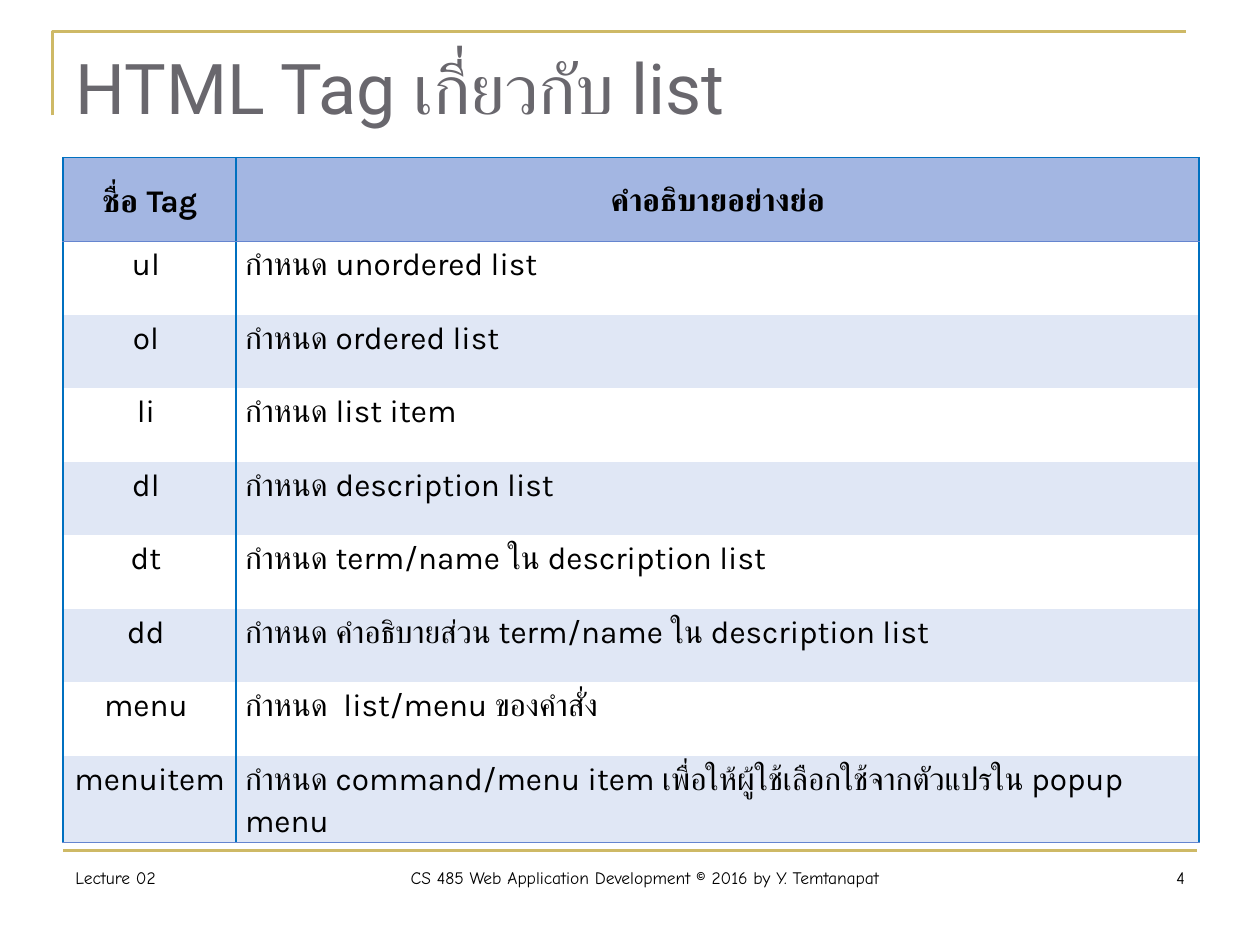
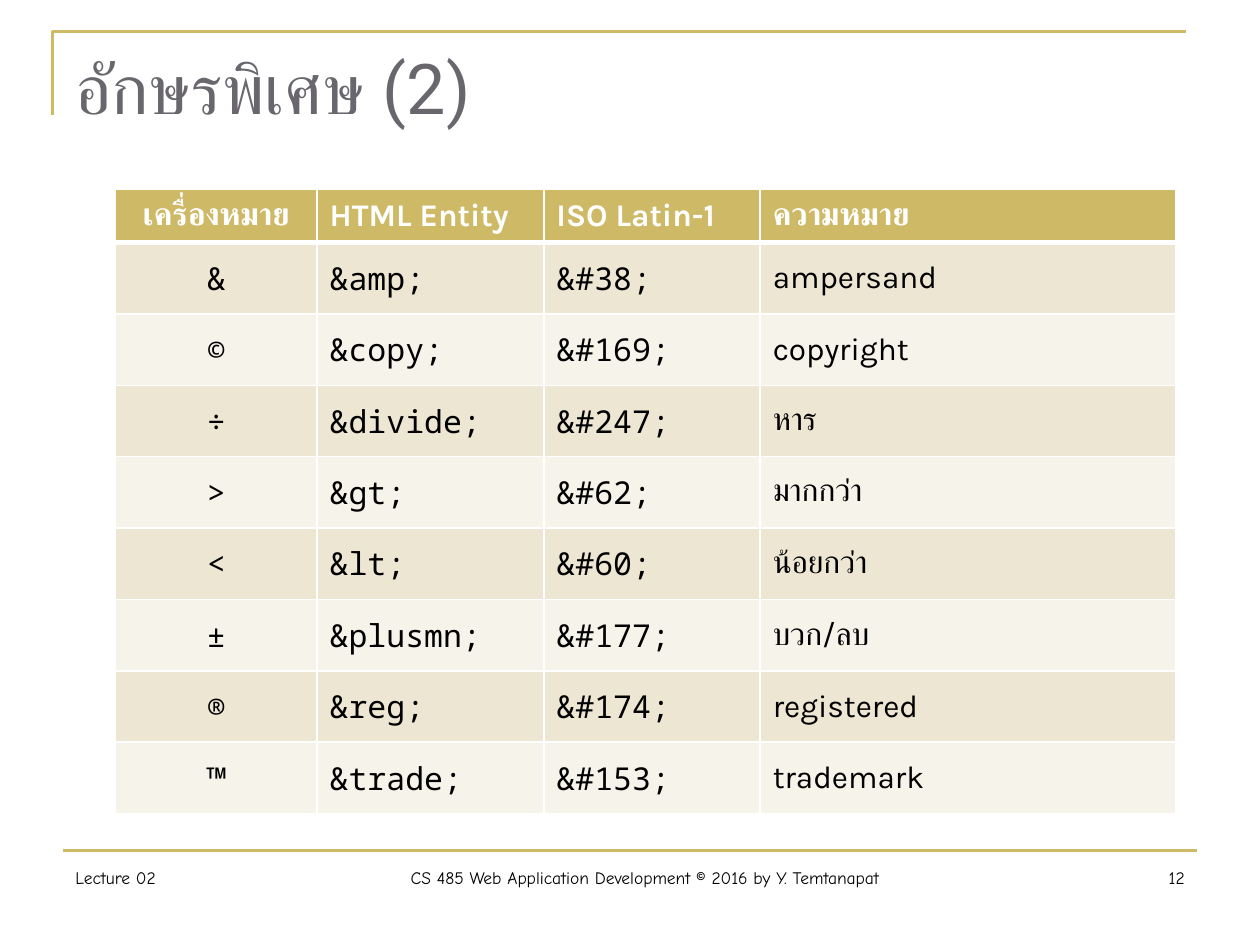
from dataclasses import dataclass

from lxml.etree import SubElement
from pptx import Presentation
from pptx.dml.color import RGBColor
from pptx.enum.shapes import MSO_CONNECTOR
from pptx.enum.text import MSO_ANCHOR, MSO_AUTO_SIZE, PP_ALIGN
from pptx.oxml.ns import qn
from pptx.util import Inches, Pt

# The slide is a grid of 120 columns by 90 rows
SLIDE_WIDTH, SLIDE_HEIGHT = Inches(10), Inches(7.5)
COLUMN, ROW = SLIDE_WIDTH / 120, SLIDE_HEIGHT / 90


@dataclass(frozen=True)
class Theme:
    gold: str = "CEB966"
    grey: str = "69676D"
    black: str = "000000"
    white: str = "FFFFFF"
    blue_edge: str = "0070C0"
    blue_rule: str = "6585CF"
    blue_header: str = "A3B6E2"
    blue_bands: tuple = ("FFFFFF", "E0E7F5")
    gold_bands: tuple = ("EDE6D3", "F6F3EA")
    title_font: str = "Roboto"
    body_font: str = "Karla"
    code_font: str = "Noto Sans Mono"
    footer_font: str = "Comic Neue"
    title_size: int = 40
    body_size: int = 18
    footer_size: int = 10
    rule_width: float = 1.5


@dataclass(frozen=True)
class Box:
    """A region in grid columns and rows."""
    left: float
    top: float
    width: float
    height: float

    def emu(self):
        return (cols(self.left), rows(self.top),
                cols(self.width), rows(self.height))


THEME = Theme()
FRAME = Box(5, 3, 108, 8)
TITLE = Box(6, 3.6, 108, 15)
FOOTER = Box(6, 82, 108, 6)
FOOTER_RULE_GAP = 1
TAG_TABLE = Box(6, 15, 108.2, 64)
ENTITY_TABLE = Box(11, 18, 101, 59.5)

TAGS = [
    ("ชื่อ Tag", "คำอธิบายอย่างย่อ"),
    ("ul ", "กำหนด unordered list"),
    ("ol ", "กำหนด ordered list"),
    ("li ", "กำหนด list item"),
    ("dl ", "กำหนด description list"),
    ("dt ", "กำหนด term/name ใน description list"),
    ("dd ", "กำหนด คำอธิบายส่วน term/name ใน description list"),
    ("menu ", "กำหนด  list/menu ของคำสั่ง"),
    ("menuitem ", "กำหนด command/menu item เพื่อให้ผู้ใช้เลือกใช้จากตัวแปรใน popup menu"),
]
ENTITIES = [
    ("เครื่องหมาย", "HTML Entity", "ISO Latin-1", "ความหมาย"),
    ("&", "&amp;", "&#38;", "ampersand"),
    ("©", "&copy;", "&#169;", "copyright"),
    ("÷", "&divide;", "&#247;", "หาร"),
    (">", "&gt;", "&#62;", "มากกว่า"),
    ("<", "&lt;", "&#60;", "น้อยกว่า"),
    ("±", "&plusmn;", "&#177;", "บวก/ลบ"),
    ("®", "&reg;", "&#174;", "registered"),
    ("™", "&trade;", "&#153;", "trademark"),
]


def cols(count):
    return round(count * COLUMN)


def rows(count):
    return round(count * ROW)


def color(value):
    return RGBColor.from_string(value)


def format_text(frame, font, size, ink, align=PP_ALIGN.LEFT, bold=False):
    for paragraph in frame.paragraphs:
        paragraph.alignment = align
        for run in paragraph.runs:
            run.font.name = font
            run.font.size = Pt(size)
            run.font.bold = bold
            run.font.color.rgb = color(ink)


def style_rule(shape):
    shape.line.color.rgb = color(THEME.gold)
    shape.line.width = Pt(THEME.rule_width)


# Parts shared by every slide
def add_frame(slide, box):
    left, top, width, height = box.emu()
    builder = slide.shapes.build_freeform(left, top + height)
    builder.add_line_segments([(left, top), (left + width, top)], close=False)
    corner = builder.convert_to_shape()
    corner.fill.background()
    corner.shadow.inherit = False
    style_rule(corner)


def add_title(slide, box, text):
    title = slide.shapes.title
    title.left, title.top, title.width, title.height = box.emu()
    frame = title.text_frame
    frame.text = text
    frame.auto_size = MSO_AUTO_SIZE.NONE
    frame.vertical_anchor = MSO_ANCHOR.TOP
    format_text(frame, THEME.title_font, THEME.title_size, THEME.grey)


def add_footer(slide, box, page):
    rule_y = rows(box.top - FOOTER_RULE_GAP)
    rule = slide.shapes.add_connector(
        MSO_CONNECTOR.STRAIGHT, cols(box.left), rule_y,
        cols(box.left + box.width), rule_y)
    style_rule(rule)
    SubElement(rule._element.spPr, qn("a:effectLst"))

    left = box.left
    for text, width, align in (
            ("Lecture 02", 19.3, PP_ALIGN.LEFT),
            ("CS 485 Web Application Development © 2016 by Y. Temtanapat",
             72.2, PP_ALIGN.CENTER),
            (str(page), 16.5, PP_ALIGN.RIGHT)):
        part = Box(left, box.top, width, box.height)
        frame = slide.shapes.add_textbox(*part.emu()).text_frame
        frame.word_wrap = True
        frame.text = text
        format_text(frame, THEME.footer_font, THEME.footer_size,
                    THEME.black, align)
        left += width


def add_base_slide(deck, title, page):
    slide = deck.slides.add_slide(deck.slide_layouts[5])
    add_frame(slide, FRAME)
    add_title(slide, TITLE, title)
    add_footer(slide, FOOTER, page)
    return slide


# Table helpers
def add_grid(slide, box, records, widths, header_height, row_height):
    table = slide.shapes.add_table(
        len(records), len(widths), *box.emu()).table
    for column, width in zip(table.columns, widths):
        column.width = cols(width)
    for index, row in enumerate(table.rows):
        row.height = rows(row_height if index else header_height)
    for r, record in enumerate(records):
        for c, text in enumerate(record):
            table.cell(r, c).text_frame.text = text
    return table


def style_cell(cell, fill, borders):
    """borders maps L, R, T, B to (colour, points); others are hidden."""
    properties = cell._tc.get_or_add_tcPr()
    for side in "LRTB":
        line = SubElement(properties, qn(f"a:ln{side}"))
        if side in borders:
            ink, width = borders[side]
            line.set("w", str(Pt(width)))
            solid = SubElement(line, qn("a:solidFill"))
            SubElement(solid, qn("a:srgbClr")).set("val", ink)
        else:
            SubElement(line, qn("a:noFill"))
    cell.fill.solid()
    cell.fill.fore_color.rgb = color(fill)


# Table of list tags
def add_tag_table(slide, box):
    table = add_grid(slide, box, TAGS, (16.5, box.width - 16.5), 8, 7)
    edge, rule = (THEME.blue_edge, 1), (THEME.blue_rule, 1)
    last = len(TAGS) - 1
    for r in range(len(TAGS)):
        header = r == 0
        borders = {"L": edge, "R": edge}
        if header:
            borders["T"] = edge
        if r == 1:
            borders["T"] = rule
        if r in (0, last):
            borders["B"] = rule
        fill = THEME.blue_header if header else THEME.blue_bands[(r - 1) % 2]
        for c in range(2):
            cell = table.cell(r, c)
            style_cell(cell, fill, borders)
            cell.margin_left = cell.margin_right = Inches(0.07)
            cell.margin_top = cell.margin_bottom = 0
            cell.vertical_anchor = MSO_ANCHOR.MIDDLE if header else MSO_ANCHOR.TOP
            centred = header or c == 0
            format_text(cell.text_frame, THEME.body_font, THEME.body_size,
                        THEME.black,
                        PP_ALIGN.CENTER if centred else PP_ALIGN.LEFT, header)
            cell.text_frame.paragraphs[0].line_spacing = 1.15


# Table of character entities
def add_entity_table(slide, box):
    table = add_grid(slide, box, ENTITIES, (19.2, 21.6, 20.6, 39.6), 5.1, 6.8)
    thin, thick = (THEME.white, 1), (THEME.white, 3)
    meaning = len(ENTITIES[0]) - 1
    for r, record in enumerate(ENTITIES):
        header = r == 0
        borders = dict.fromkeys("LRTB", thin)
        if header:
            borders["B"] = thick
        if r == 1:
            borders["T"] = thick
        fill = THEME.gold if header else THEME.gold_bands[(r - 1) % 2]
        for c in range(len(record)):
            cell = table.cell(r, c)
            style_cell(cell, fill, borders)
            cell.vertical_anchor = MSO_ANCHOR.MIDDLE
            plain = header or c == meaning
            format_text(cell.text_frame,
                        THEME.body_font if plain else THEME.code_font,
                        THEME.body_size,
                        THEME.white if header else THEME.black,
                        PP_ALIGN.LEFT if c else PP_ALIGN.CENTER, header)


def main():
    deck = Presentation()
    deck.slide_width, deck.slide_height = SLIDE_WIDTH, SLIDE_HEIGHT
    add_tag_table(add_base_slide(deck, "HTML Tag เกี่ยวกับ list", 4), TAG_TABLE)
    add_entity_table(add_base_slide(deck, "อักษรพิเศษ (2)", 12), ENTITY_TABLE)
    deck.save("out.pptx")


if __name__ == "__main__":
    main()
